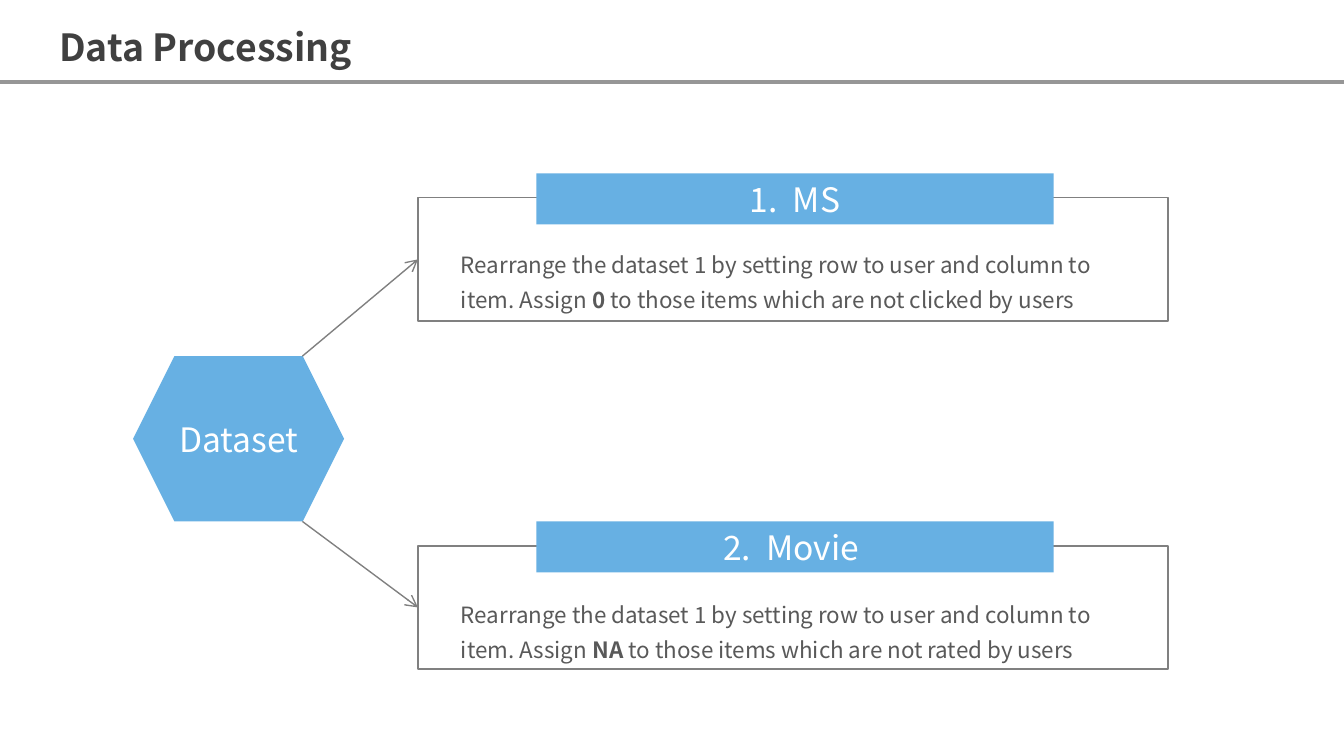
from lxml.etree import SubElement
from pptx import Presentation
from pptx.dml.color import RGBColor
from pptx.enum.shapes import MSO_CONNECTOR, MSO_SHAPE
from pptx.enum.text import MSO_ANCHOR, MSO_AUTO_SIZE, PP_ALIGN
from pptx.oxml.ns import qn
from pptx.util import Inches, Pt

FONT = "Noto Sans CJK SC"
BLUE = RGBColor(0x67, 0xB0, 0xE3)
WHITE = RGBColor(0xFF, 0xFF, 0xFF)
RULE_GRAY = RGBColor(0x96, 0x96, 0x96)
LINE_GRAY = RGBColor(0x80, 0x80, 0x80)
BODY_GRAY = RGBColor(0x59, 0x59, 0x59)
TITLE_GRAY = RGBColor(0x40, 0x40, 0x40)


def add_line(x1, y1, x2, y2, color, width):
    line = slide.shapes.add_connector(
        MSO_CONNECTOR.STRAIGHT, Inches(x1), Inches(y1), Inches(x2), Inches(y2))
    line.line.color.rgb = color
    line.line.width = Pt(width)
    SubElement(line._element.spPr, qn("a:effectLst"))
    return line


def add_label(preset, left, top, width, height, text):
    """Add a blue shape with centred white text."""
    label = slide.shapes.add_shape(
        preset, Inches(left), Inches(top), Inches(width), Inches(height))
    label.shadow.inherit = False
    label.fill.solid()
    label.fill.fore_color.rgb = BLUE
    label.line.fill.background()
    frame = label.text_frame
    frame.margin_left = frame.margin_right = Inches(0.08)
    frame.margin_top = frame.margin_bottom = Inches(0.04)
    frame.vertical_anchor = MSO_ANCHOR.MIDDLE
    frame.text = text
    frame.paragraphs[0].alignment = PP_ALIGN.CENTER
    font = frame.paragraphs[0].runs[0].font
    font.name, font.size, font.color.rgb = FONT, Pt(18), WHITE


prs = Presentation()
prs.slide_width = Inches(10)
prs.slide_height = Inches(10) * 9 // 16
slide = prs.slides.add_slide(prs.slide_layouts[5])

# Title and rule
title = slide.shapes.title
title.left, title.top = Inches(0.34), Inches(0.06)
title.width, title.height = Inches(2.61), Inches(0.47)
title.text_frame.text = "Data Processing"
title.text_frame.auto_size = MSO_AUTO_SIZE.NONE
title.text_frame.vertical_anchor = MSO_ANCHOR.TOP
heading = title.text_frame.paragraphs[0]
heading.alignment = PP_ALIGN.LEFT
heading.line_spacing = 1.2
heading_font = heading.runs[0].font
heading_font.name, heading_font.size, heading_font.bold = FONT, Pt(20), True
heading_font.color.rgb = TITLE_GRAY
add_line(0, 0.61, 10, 0.61, RULE_GRAY, 1.75)

add_label(MSO_SHAPE.HEXAGON, 0.99, 2.65, 1.57, 1.23, "Dataset")

# One branch per dataset: frame top, text top, arrow start and end, wording
branches = [
    (1.47, 1.77, 2.65, 1.93, "1.  MS", "0", "clicked"),
    (4.06, 4.37, 3.88, 4.52, "2.  Movie ", "NA", "rated"),
]
for top, text_top, arrow_start, arrow_end, name, filler, action in branches:
    frame = slide.shapes.add_shape(
        MSO_SHAPE.RECTANGLE, Inches(3.11), Inches(top), Inches(5.58), Inches(0.92))
    frame.shadow.inherit = False
    frame.fill.background()
    frame.line.color.rgb = LINE_GRAY
    frame.line.width = Pt(1)

    add_label(MSO_SHAPE.RECTANGLE, 3.99, top - 0.18, 3.85, 0.38, name)

    arrow = add_line(2.25, arrow_start, 3.11, arrow_end, LINE_GRAY, 0.75)
    SubElement(arrow.line._get_or_add_ln(), qn("a:tailEnd"), type="arrow")

    description = slide.shapes.add_textbox(
        Inches(3.35), Inches(text_top), Inches(5.2), Inches(0.6)).text_frame
    description.word_wrap = True
    description.margin_left = description.margin_right = Inches(0.08)
    description.margin_top = description.margin_bottom = Inches(0.04)
    paragraph = description.paragraphs[0]
    paragraph.line_spacing = 1.3
    for words in (
        "Rearrange the dataset 1 by setting row to user and column to item. Assign ",
        filler,
        f" to those items which are not {action} by users",
    ):
        run = paragraph.add_run()
        run.text = words
        run.font.name, run.font.size = FONT, Pt(12)
        run.font.bold = words == filler
        run.font.color.rgb = BODY_GRAY

prs.save("out.pptx")
